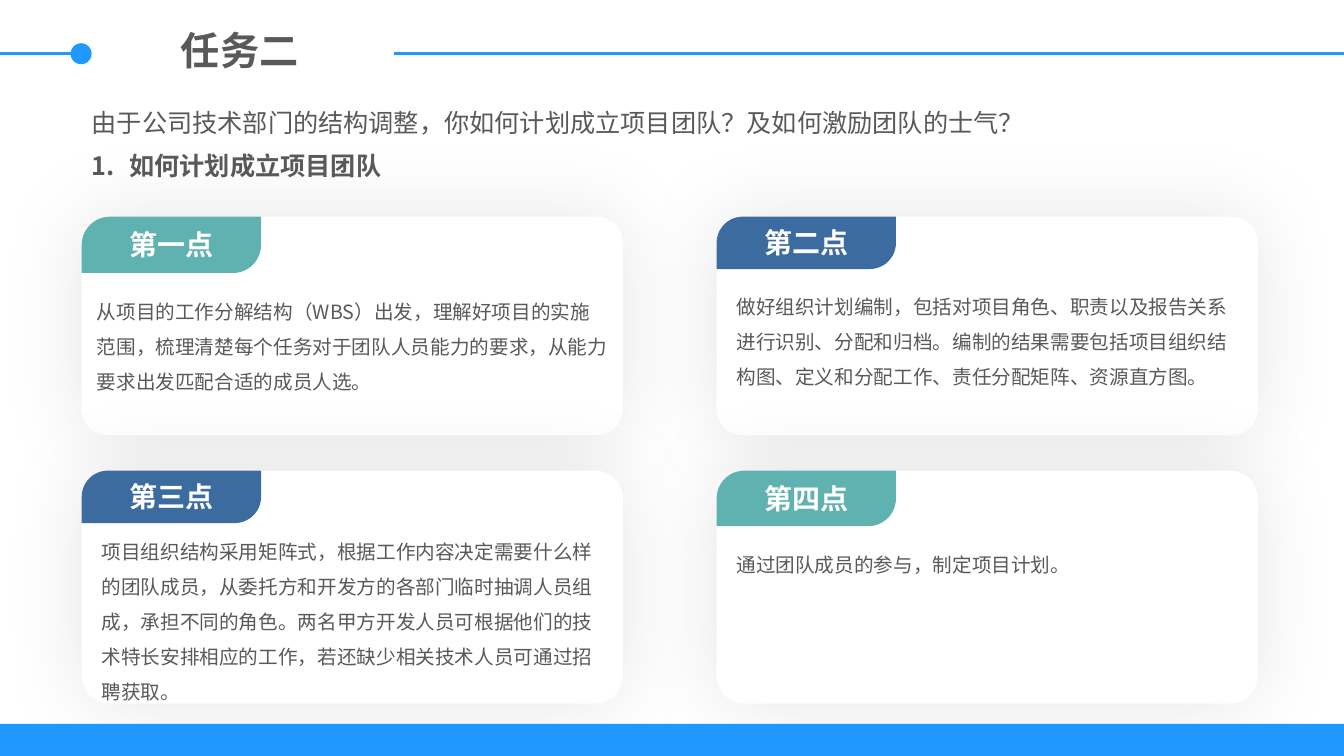
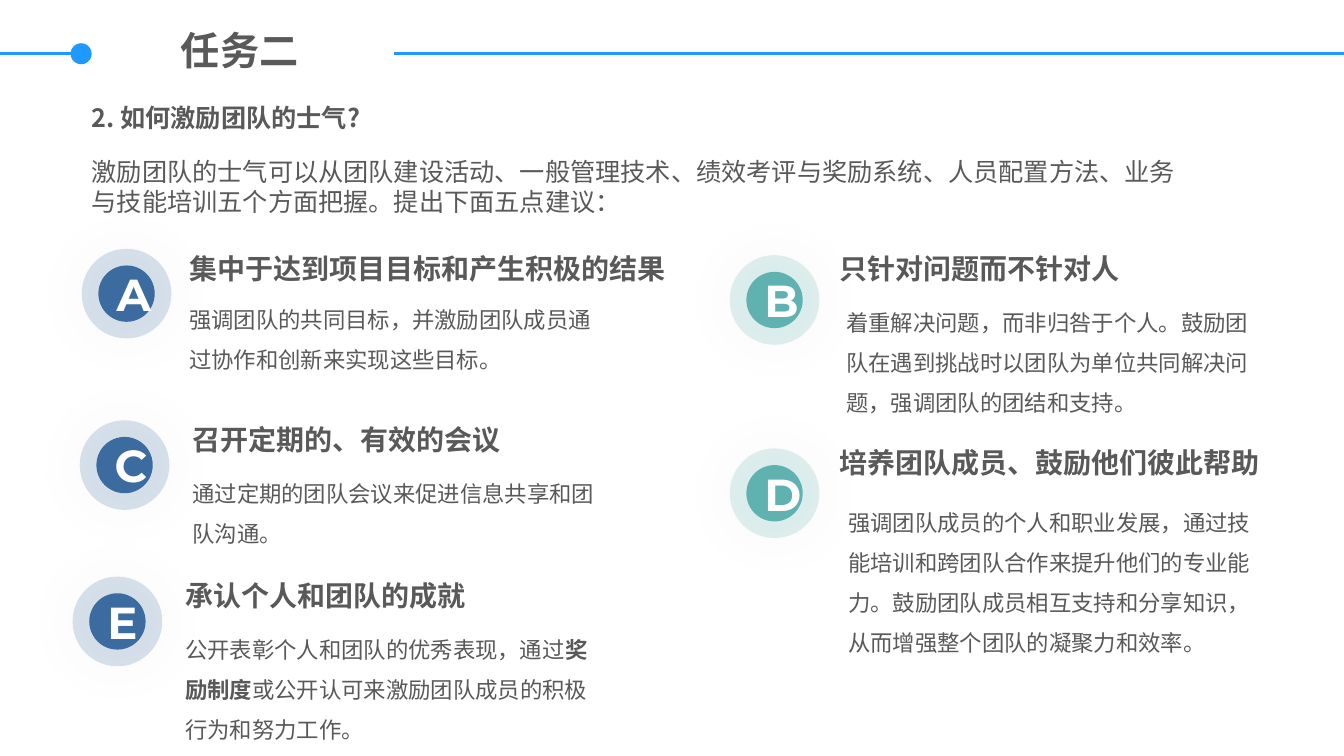
from lxml import etree
from pptx import Presentation
from pptx.dml.color import RGBColor
from pptx.enum import shapes, text
from pptx.oxml import ns
from pptx.util import Cm, Pt

BLUE = RGBColor(0x1F, 0x98, 0xFF)
NAVY = RGBColor(0x3B, 0x6B, 0x9F)
TEAL = RGBColor(0x5F, 0xB2, 0xB0)
GREY = RGBColor(0x59, 0x59, 0x59)
WHITE = RGBColor(0xFF, 0xFF, 0xFF)
SILVER = RGBColor(0xBF, 0xBF, 0xBF)
BLACK = RGBColor(0, 0, 0)

FONT = "Noto Sans CJK SC"
LETTER_FONT = "Montserrat"
LINE = 1.19  # height of a single line, as a multiple of the text size
WIDTH, HEIGHT = 33.87, 19.05
LEFT = 2.06

MS = shapes.MSO_SHAPE
ALIGN = text.PP_ALIGN


def sub(parent, tag, **attrs):
    return etree.SubElement(parent, ns.qn(tag), attrs)


def put_text(tf, content, size=18, bold=False, color=GREY, font=FONT,
             align=ALIGN.LEFT, lines=1.0):
    """Fill the first paragraph; content is a string or (string, bold) pairs."""
    p = tf.paragraphs[0]
    p.alignment = align
    if font == FONT:
        p.line_spacing = Pt(round(size * LINE * lines, 1))
    runs = [(content, bold)] if isinstance(content, str) else content
    for words, strong in runs:
        r = p.add_run()
        r.text = words
        r.font.size, r.font.bold, r.font.name = Pt(size), strong, font
        r.font.color.rgb = color
        sub(r.font._element, "a:ea", typeface=font)
    return p


def add_text(parent, x, y, w, h, content, **fmt):
    tf = parent.add_textbox(Cm(x), Cm(y), Cm(w), Cm(h)).text_frame
    tf.word_wrap = True
    return put_text(tf, content, **fmt)


def add_shape(parent, kind, x, y, w, h, color, alpha=None):
    sp = parent.add_shape(kind, Cm(x), Cm(y), Cm(w), Cm(h))
    sp.shadow.inherit = False
    sp.fill.solid()
    sp.fill.fore_color.rgb = color
    sp.line.fill.background()
    if alpha:
        clr = sp._element.spPr.find(".//" + ns.qn("a:srgbClr"))
        sub(clr, "a:alpha", val=str(alpha * 1000))
    return sp


def add_glow(sp, color, alpha, blur):
    """Give the shape a soft shadow centred behind it."""
    effects = sp._element.spPr.find(ns.qn("a:effectLst"))
    shadow = sub(effects, "a:outerShdw", blurRad=str(Pt(blur)), dist="0",
                 dir="0", algn="ctr", rotWithShape="0")
    sub(sub(shadow, "a:srgbClr", val=str(color)), "a:alpha", val=str(alpha * 1000))


def add_rule(s, x1, x2, y):
    line = s.shapes.add_connector(shapes.MSO_CONNECTOR.STRAIGHT,
                                  Cm(x1), Cm(y), Cm(x2), Cm(y))
    line.line.color.rgb = BLUE
    line.line.width = Pt(2.25)
    sub(line._element.spPr, "a:effectLst")


def add_header(s, title):
    add_text(s.shapes, 2.51, 0.56, 7.06, 1.45, title, size=28, bold=True,
             align=ALIGN.CENTER)
    add_rule(s, 0, 1.83, 1.35)
    add_shape(s.shapes, MS.OVAL, 1.78, 1.09, 0.53, 0.53, BLUE)
    add_rule(s, 9.93, WIDTH, 1.35)


def add_card(s, x, y, h, label, color, tab_h, body, dx, dy, body_w):
    """White card with a coloured tab; dx and dy place the body inside it."""
    g = s.shapes.add_group_shape().shapes
    card = add_shape(g, MS.ROUNDED_RECTANGLE, x, y, 13.64, h, WHITE)
    card.adjustments[0] = 0.12
    add_glow(card, BLACK, 10, 60)
    tab = add_shape(g, MS.ROUND_2_DIAG_RECTANGLE, x, y, 4.52, tab_h, color)
    tab.adjustments[0], tab.adjustments[1] = 0.5, 0
    tab.text_frame.vertical_anchor = text.MSO_ANCHOR.MIDDLE
    put_text(tab.text_frame, label, size=20, bold=True, color=WHITE,
             align=ALIGN.CENTER)
    add_text(g, x + dx, y + dy, body_w, h - dy, body, size=14, lines=1.5)


def add_advice(s, x, y, letter, color, heading, head_at, body, body_at, body_w):
    """Lettered badge at x, y; heading and body are offset from it."""
    ring, dot = 2.26, 1.42
    inset = (ring - dot) / 2
    g = s.shapes.add_group_shape().shapes
    add_glow(add_shape(g, MS.OVAL, x, y, ring, ring, color, alpha=20),
             SILVER, 40, 35)
    badge = add_shape(g, MS.OVAL, x + inset, y + inset, dot, dot, color)
    badge.text_frame.vertical_anchor = text.MSO_ANCHOR.MIDDLE
    put_text(badge.text_frame, letter, size=32, bold=True, color=WHITE,
             font=LETTER_FONT, align=ALIGN.CENTER)
    add_text(g, x + head_at[0], y + head_at[1], 12.62, 1.12, heading,
             size=20, bold=True)
    add_text(g, x + body_at[0], y + body_at[1], body_w, 2.2, body,
             size=16, lines=1.5)


def team_slide(s):
    rows = ((5.46, 5.51), (11.86, 5.87))
    columns = (LEFT, 18.06)
    cards = (
        ("第一点", TEAL, 1.42,
         "从项目的工作分解结构（WBS）出发，理解好项目的实施范围，梳理清楚每个任务对于"
         "团队人员能力的要求，从能力要求出发匹配合适的成员人选。", 0.13, 1.68, 13.39),
        ("第二点", NAVY, 1.32,
         "做好组织计划编制，包括对项目角色、职责以及报告关系进行识别、分配和归档。"
         "编制的结果需要包括项目组织结构图、定义和分配工作、责任分配矩阵、资源直方图。",
         0.25, 1.57, 12.93),
        ("第三点", NAVY, 1.32,
         "项目组织结构采用矩阵式，根据工作内容决定需要什么样的团队成员，从委托方和"
         "开发方的各部门临时抽调人员组成，承担不同的角色。两名甲方开发人员可根据他们的"
         "技术特长安排相应的工作，若还缺少相关技术人员可通过招聘获取。",
         0.25, 1.32, 13.18),
        ("第四点", TEAL, 1.4, "通过团队成员的参与，制定项目计划。", 0.25, 1.65, 12.5),
    )
    for i, card in enumerate(cards):
        y, h = rows[i // 2]
        add_card(s, columns[i % 2], y, h, *card)
    add_header(s, "任务二")
    add_shape(s.shapes, MS.RECTANGLE, 0, 18.24, WIDTH, HEIGHT - 18.24, BLUE)
    add_text(s.shapes, LEFT, 2.21, 24.2, 1.27,
             "由于公司技术部门的结构调整，你如何计划成立项目团队？及如何激励团队的士气？",
             lines=1.5)
    p = add_text(s.shapes, LEFT, 3.68, 9.47, 1.02, "如何计划成立项目团队", bold=True)
    pPr = p._p.get_or_add_pPr()
    pPr.set("marL", str(Cm(0.95)))
    pPr.set("indent", str(-Cm(0.95)))
    sub(pPr, "a:buFont", typeface="+mj-lt")
    sub(pPr, "a:buAutoNum", type="arabicPeriod")


def morale_slide(s):
    add_header(s, "任务二")
    add_text(s.shapes, LEFT, 2.46, 9.47, 1.02, "2. 如何激励团队的士气?", bold=True)
    add_text(s.shapes, LEFT, 3.81, 28.12, 2.57,
             "激励团队的士气可以从团队建设活动、一般管理技术、绩效考评与奖励系统、"
             "人员配置方法、业务与技能培训五个方面把握。提出下面五点建议：")
    advice = (
        (LEFT, 6.27, "A", NAVY, "集中于达到项目目标和产生积极的结果", (2.46, -0.05),
         "强调团队的共同目标，并激励团队成员通过协作和创新来实现这些目标。",
         (2.46, 0.99), 10.97),
        (18.39, 6.43, "B", TEAL, "只针对问题而不针对人", (2.51, -0.21),
         "着重解决问题，而非归咎于个人。鼓励团队在遇到挑战时以团队为单位共同解决问题，"
         "强调团队的团结和支持。", (2.69, 0.91), 10.97),
        (2.01, 10.59, "C", NAVY, "召开定期的、有效的会议", (2.59, -0.07),
         "通过定期的团队会议来促进信息共享和团队沟通。", (2.59, 1.04), 11.13),
        (18.39, 11.3, "D", TEAL, "培养团队成员、鼓励他们彼此帮助", (2.51, -0.2),
         "强调团队成员的个人和职业发展，通过技能培训和跨团队合作来提升他们的专业能力。"
         "鼓励团队成员相互支持和分享知识，从而增强整个团队的凝聚力和效率。",
         (2.74, 1.07), 10.97),
        (1.83, 14.53, "E", NAVY, "承认个人和团队的成就", (2.59, -0.08),
         (("公开表彰个人和团队的优秀表现，通过", False), ("奖励制度", True),
          ("或公开认可来激励团队成员的积极行为和努力工作。", False)),
         (2.59, 1.04), 10.82),
    )
    for item in advice:
        add_advice(s, *item)


def main():
    prs = Presentation()
    prs.slide_width, prs.slide_height = Cm(WIDTH), Cm(HEIGHT)
    for build in (team_slide, morale_slide):
        build(prs.slides.add_slide(prs.slide_layouts[6]))
    prs.save("out.pptx")


if __name__ == "__main__":
    main()
